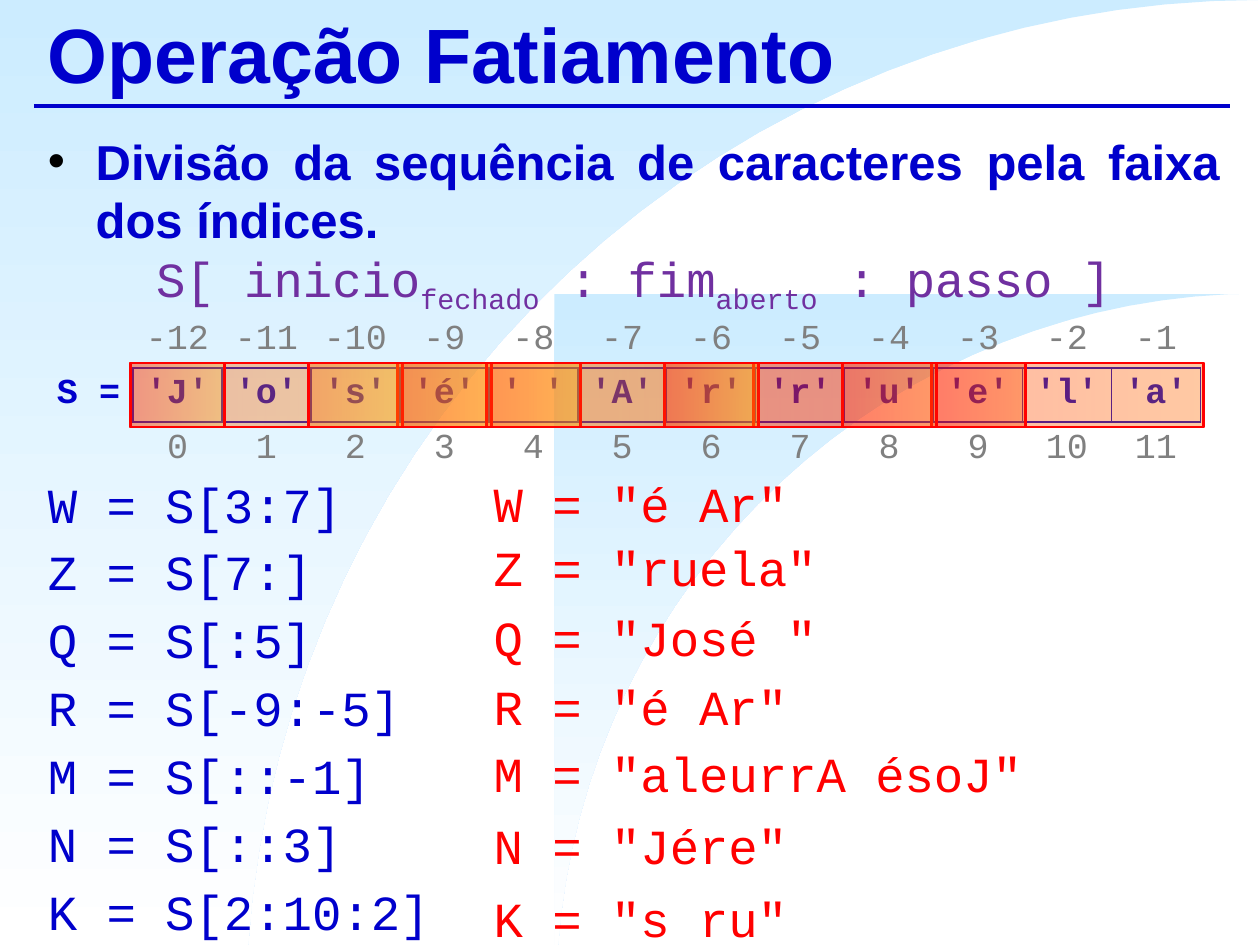
from math import cos, sin, asin, pi
from lxml.etree import SubElement
from pptx import Presentation
from pptx.dml.color import RGBColor
from pptx.enum.shapes import MSO_CONNECTOR, MSO_SHAPE
from pptx.enum.text import MSO_ANCHOR, MSO_AUTO_SIZE, PP_ALIGN
from pptx.oxml.ns import qn
from pptx.util import Inches, Pt

BLUE, RED, GRAY, PURPLE = "0000CC", "FF0000", "808080", "7030A0"
MONO = "Courier New"
LETTERS = "José Arruela"
COUNT = len(LETTERS)
PITCH = 9.18 / (COUNT + 1)
EXPRESSIONS = ["W = S[3:7]", "Z = S[7:]", "Q = S[:5]", "R = S[-9:-5]",
               "M = S[::-1]", "N = S[::3]", "K = S[2:10:2]"]
RESULTS = [(3.71, 'W = "é Ar"'), (4.22, 'Z = "ruela"'), (4.77, 'Q = "José "'),
           (5.32, 'R = "é Ar"'), (5.85, 'M = "aleurrA ésoJ"'),
           (6.42, 'N = "Jére"'), (7, 'K = "s ru"')]


def rgb(value):
    return RGBColor.from_string(value)


def box(left, top, width, height):
    return [Inches(length) for length in (left, top, width, height)]


def style(paragraph, size, font, color, bold=False):
    for run in paragraph.runs:
        run.font.size = Pt(size)
        run.font.name = font
        run.font.bold = bold
        run.font.color.rgb = rgb(color)


def paint_gradient(shape, colors, angle, opacity=100):
    shape.shadow.inherit = False
    shape.fill.gradient()
    shape.fill.gradient_angle = angle
    for stop, color in zip(shape.fill.gradient_stops, colors):
        stop.color.rgb = rgb(color)
    for color in shape.element.spPr.iter(qn("a:srgbClr")):
        SubElement(color, qn("a:alpha"), val=str(opacity * 1000))


def add_backdrop(slide, order, left, top, width, height, arc_start):
    right, bottom = left + width, top + height
    reach = right - arc_start
    radius = (reach ** 2 + height ** 2) / (2 * height)
    first = asin((radius - height) / radius)
    angles = [first + (pi / 2 - first) * step / 32 for step in range(33)]
    arc = [(right - radius * cos(a), top + radius - radius * sin(a)) for a in angles]
    outline = [(Inches(x), Inches(y)) for x, y in [(left, top), (right, top)] + arc[::-1]]
    builder = slide.shapes.build_freeform(Inches(left), Inches(bottom))
    builder.add_line_segments(outline)
    backdrop = builder.convert_to_shape()
    paint_gradient(backdrop, ["CCECFF", "FFFFFF"], 270)
    backdrop.line.fill.background()
    slide.shapes.element.insert(2 + order, backdrop.element)


def fill_title(slide, left, top, width, height):
    title = slide.shapes.title
    title.left, title.top, title.width, title.height = box(left, top, width, height)
    frame = title.text_frame
    frame.text = "Operação Fatiamento"
    frame.auto_size = MSO_AUTO_SIZE.NONE
    frame.vertical_anchor = MSO_ANCHOR.MIDDLE
    frame.paragraphs[0].alignment = PP_ALIGN.LEFT
    style(frame.paragraphs[0], 44, "Arial", BLUE, True)
    rule = slide.shapes.add_connector(
        MSO_CONNECTOR.STRAIGHT, Inches(left - 0.01), Inches(top + 0.84),
        Inches(left + 9.48), Inches(top + 0.84))
    rule.line.color.rgb = rgb(BLUE)
    rule.line.width = Pt(2.25)
    SubElement(rule.element.spPr, qn("a:effectLst"))


def set_bullet(paragraph, char=None):
    properties = paragraph._p.get_or_add_pPr()
    indent = Inches(0.38) if char else 0
    properties.set("marL", str(indent))
    properties.set("indent", str(-indent))
    if char:
        color = SubElement(properties, qn("a:buClr"))
        SubElement(color, qn("a:srgbClr"), val="000000")
        SubElement(properties, qn("a:buChar"), char=char)
    else:
        SubElement(properties, qn("a:buNone"))


def fill_body(slide, left, top, width, height):
    body = slide.placeholders[1]
    body.left, body.top, body.width, body.height = box(left, top, width, height)
    frame = body.text_frame
    frame.auto_size = MSO_AUTO_SIZE.NONE
    definition = frame.paragraphs[0]
    definition.text = "Divisão da sequência de caracteres pela faixa dos índices."
    definition.alignment = PP_ALIGN.JUSTIFY
    definition.space_before = Pt(5.6)
    set_bullet(definition, "•")
    style(definition, 28, "Arial", BLUE, True)

    syntax = frame.add_paragraph()
    syntax.alignment = PP_ALIGN.CENTER
    syntax.space_before = Pt(0)
    set_bullet(syntax)
    for part in ("S[ inicio", "fechado", " : fim", "aberto", " : passo ]"):
        run = syntax.add_run()
        run.text = part
        if part.isalpha():
            run.font._element.set("baseline", "-25000")
    style(syntax, 28, MONO, PURPLE)

    for row, text in enumerate(EXPRESSIONS):
        expression = frame.add_paragraph()
        expression.text = text
        expression.alignment = PP_ALIGN.JUSTIFY
        expression.space_before = Pt(5.2 if row else 90.5)
        set_bullet(expression)
        style(expression, 28, MONO, BLUE)


def set_borders(cell, visible):
    properties = cell._tc.get_or_add_tcPr()
    for position, side in enumerate("LRTB"):
        line = SubElement(properties, qn(f"a:ln{side}"), w=str(Pt(1)))
        if side in visible:
            fill = SubElement(line, qn("a:solidFill"))
            SubElement(fill, qn("a:srgbClr"), val=BLUE)
        else:
            SubElement(line, qn("a:noFill"))
        properties.insert(position, line)


def add_row(slide, left, top, width, height, texts, color, framed=False):
    frame = slide.shapes.add_table(1, len(texts), *box(left, top, width, height))
    table = frame.table
    table.first_row = table.horz_banding = False
    for column, text in enumerate(texts):
        table.columns[column].width = Inches(width / len(texts))
        cell = table.cell(0, column)
        cell.fill.background()
        cell.text = text
        paragraph = cell.text_frame.paragraphs[0]
        paragraph.alignment = PP_ALIGN.CENTER
        style(paragraph, 20, MONO, color, framed)
        sides = "LRTB" if column else "R"
        set_borders(cell, sides if framed else "")


def add_result(slide, left, top, width, height, text):
    result = slide.shapes.add_textbox(*box(left, top, width, height))
    result.text_frame.word_wrap = True
    result.text_frame.text = text
    style(result.text_frame.paragraphs[0], 28, MONO, RED)


def add_highlight(slide, left, top, start, end, angle=0):
    highlight = slide.shapes.add_shape(MSO_SHAPE.RECTANGLE, *box(
        left + start * PITCH - 0.02, top, (end - start) * PITCH + 0.04, 0.51))
    paint_gradient(highlight, [RED, "FFC000"], angle, 20)
    highlight.line.color.rgb = rgb(RED)
    highlight.line.width = Pt(1.5)


def main():
    deck = Presentation()
    deck.slide_width, deck.slide_height = Inches(10), Inches(7.5)
    slide = deck.slides.add_slide(deck.slide_layouts[1])
    add_backdrop(slide, 0, 0, 0, 10, 7.5, 1.97)
    add_backdrop(slide, 1, 4.4, 2.33, 5.6, 5.17, 4.43)
    fill_title(slide, 0.28, 0, 9.5, 0.83)
    fill_body(slide, 0.28, 0.99, 9.5, 6.38)

    letters = ["S ="] + [f"'{letter}'" for letter in LETTERS]
    add_row(slide, 0.35, 2.92, 9.18, 0.43, letters, BLUE, framed=True)
    negatives = [""] + [str(index) for index in range(-COUNT, 0)]
    add_row(slide, 0.35, 2.49, 9.18, 0.43, negatives, GRAY)
    positives = [""] + [str(index) for index in range(COUNT)]
    add_row(slide, 0.35, 3.36, 9.18, 0.43, positives, GRAY)

    for top, text in RESULTS:
        add_result(slide, 3.82, top, 6.18 if len(text) > 12 else 2.83, 0.57, text)

    singles = [(index, index + 1) for index in (*range(0, COUNT, 3), *range(2, 10, 2))]
    for span in [(3, 7), (0, COUNT, 180), (0, 5), (7, COUNT), *singles, (2, 10, 180)]:
        add_highlight(slide, 0.35 + PITCH, 2.88, *span)
    deck.save("out.pptx")


if __name__ == "__main__":
    main()
